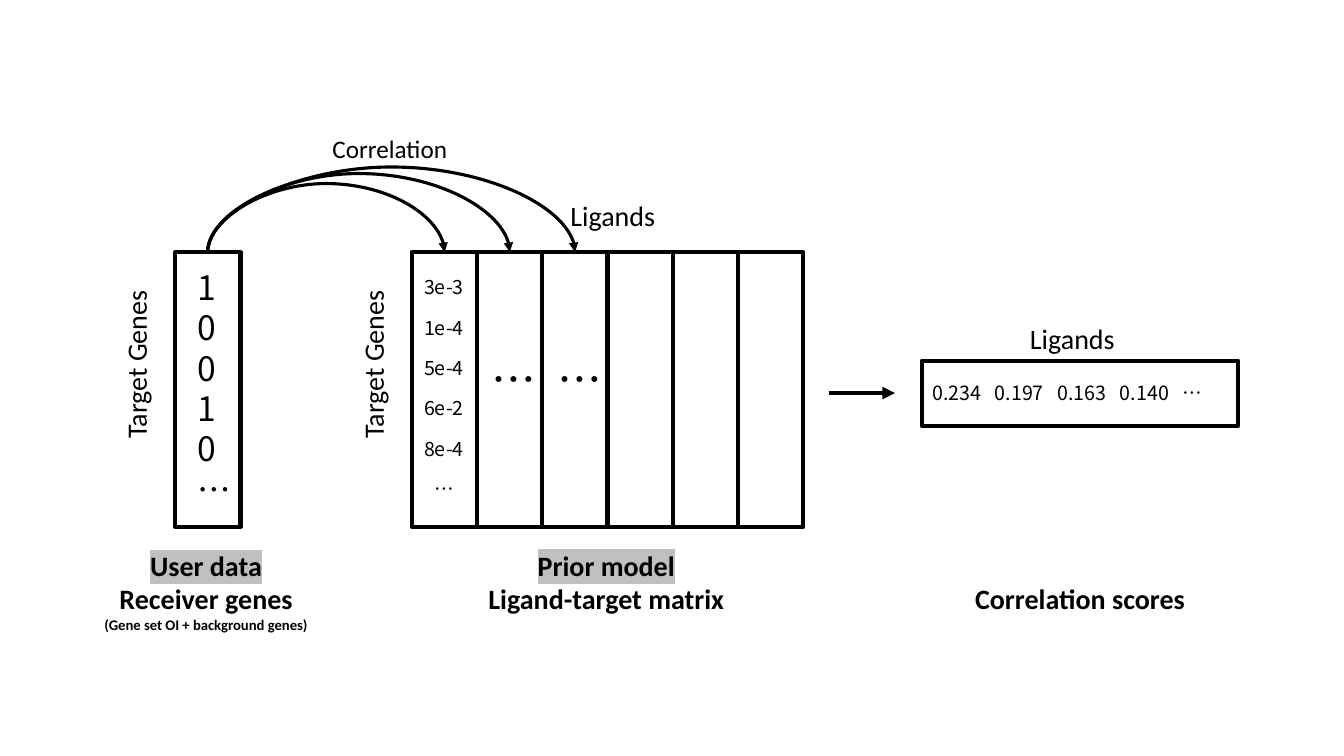
"""Draw the ligand activity slide: user data, prior model and correlation scores."""
import dataclasses
import typing

import lxml.etree
import pptx
import pptx.dml.color
import pptx.enum.shapes
import pptx.enum.text
import pptx.oxml.ns
import pptx.util

Pt = pptx.util.Pt
qn = pptx.oxml.ns.qn
BLACK = pptx.dml.color.RGBColor(0x00, 0x00, 0x00)
SILVER = pptx.dml.color.RGBColor(0xC0, 0xC0, 0xC0)
LABEL_FONT = "Calibri"
VALUE_FONT = "Noto Sans CJK KR"
CENTER = pptx.enum.text.PP_ALIGN.CENTER
LEFT = pptx.enum.text.PP_ALIGN.LEFT

CELL_WIDTH = 46.6
CELL_HEIGHT = 196
USER_LEFT = 125.2
CELL_TOP = 180.3
MATRIX_LEFT = 294.2
LIGAND_COUNT = 6
SCORE_STEP = 44.7
ARC_DROP = 0.25


@dataclasses.dataclass(frozen=True)
class Line:
    """One paragraph of a caption."""
    text: str
    size: float = 20
    highlighted: bool = False


@dataclasses.dataclass(frozen=True)
class Caption:
    """A bold caption below one part of the diagram."""
    left: float
    top: float
    width: float
    height: float
    lines: tuple[Line, ...]


@dataclasses.dataclass(frozen=True)
class Arc:
    """A curved arrow from the user data to one ligand column."""
    column: int
    rise: float


CAPTIONS = (
    Caption(61.9, 388, 170.6, 68, (
        Line("User data", highlighted=True),
        Line("Receiver genes"),
        Line("(Gene set OI + background genes)", 10.5))),
    Caption(331.2, 387.9, 203.8, 55.7, (
        Line("Prior model", highlighted=True),
        Line("Ligand-target matrix"))),
    Caption(686.2, 411.9, 170.6, 31.5, (Line("Correlation scores"),)),
)
ARCS = (Arc(0, 48.2), Arc(2, 59.8), Arc(1, 55.2))


def add_text(slide: typing.Any, lines: typing.Sequence[Line], left: float, top: float,
             width: float, height: float, *, font: str = LABEL_FONT, bold: bool = False,
             align: typing.Any = LEFT, space_before: float = 0, pitch: float | None = None,
             tab_step: float | None = None, sideways: bool = False) -> None:
    """Add a text box with one paragraph per line."""
    box = slide.shapes.add_textbox(Pt(left), Pt(top), Pt(width), Pt(height))
    frame = box.text_frame
    frame.word_wrap = True
    if sideways:
        box.rotation = 180
        frame._txBody.bodyPr.set("vert", "eaVert")
    for index, line in enumerate(lines):
        paragraph = frame.add_paragraph() if index else frame.paragraphs[0]
        paragraph.alignment = align
        paragraph.space_before = Pt(space_before)
        if pitch:
            paragraph.line_spacing = Pt(pitch)
        if tab_step:
            stops = lxml.etree.SubElement(paragraph._p.get_or_add_pPr(), qn("a:tabLst"))
            for stop in range(1, line.text.count("\t") + 1):
                lxml.etree.SubElement(stops, qn("a:tab"), pos=str(Pt(tab_step * stop)), algn="l")
        run = paragraph.add_run()
        run.text = line.text
        run.font.size = Pt(line.size)
        run.font.bold = bold
        run.font.color.rgb = BLACK
        run.font.name = font
        properties = run._r.get_or_add_rPr()
        properties.find(qn("a:latin")).addnext(
            lxml.etree.Element(qn("a:ea"), typeface=font))
        if line.highlighted:
            highlight = lxml.etree.Element(qn("a:highlight"))
            lxml.etree.SubElement(highlight, qn("a:srgbClr"), val=str(SILVER))
            properties.find(qn("a:solidFill")).addnext(highlight)


def add_cell(slide: typing.Any, left: float, top: float, width: float, height: float,
             rotation: float = 0) -> None:
    """Add an unfilled rectangle with a heavy outline."""
    cell = slide.shapes.add_shape(pptx.enum.shapes.MSO_SHAPE.RECTANGLE,
                                  Pt(left), Pt(top), Pt(width), Pt(height))
    cell.rotation = rotation
    cell.shadow.inherit = False
    cell.fill.background()
    cell.line.color.rgb = BLACK
    cell.line.width = Pt(3)


def add_arrow(slide: typing.Any, kind: typing.Any, start: tuple[float, float],
              end: tuple[float, float], weight: float) -> typing.Any:
    """Add a black connector with an arrowhead at its end."""
    arrow = slide.shapes.add_connector(kind, *map(Pt, start + end))
    arrow.line.color.rgb = BLACK
    arrow.line.width = Pt(weight)
    lxml.etree.SubElement(arrow.line._get_or_add_ln(), qn("a:tailEnd"), type="triangle")
    lxml.etree.SubElement(arrow._element.spPr, qn("a:effectLst"))
    return arrow


def add_arc(slide: typing.Any, arc: Arc) -> None:
    """Add a curved arrow that rises above both of its ends."""
    start = USER_LEFT + CELL_WIDTH / 2 - 0.2
    end = MATRIX_LEFT + CELL_WIDTH * (arc.column + 0.5)
    span = end - start
    arrow = add_arrow(slide, pptx.enum.shapes.MSO_CONNECTOR.CURVE,
                      (start, CELL_TOP), (end, CELL_TOP), 2.25)
    arrow.left = Pt((start + end - ARC_DROP) / 2)
    arrow.top = Pt(CELL_TOP - (span + ARC_DROP) / 2)
    arrow.width, arrow.height = Pt(ARC_DROP), Pt(span)
    frame = arrow._element.spPr.find(qn("a:xfrm"))
    for name, value in (("rot", "5400000"), ("flipH", "1"), ("flipV", "1")):
        frame.set(name, value)
    guides = arrow._element.spPr.find(qn("a:prstGeom")).find(qn("a:avLst"))
    lxml.etree.SubElement(guides, qn("a:gd"), name="adj1",
                          fmla=f"val {round(arc.rise / ARC_DROP * 100000)}")


def build_slide(slide: typing.Any) -> None:
    """Draw every part of the diagram."""
    add_text(slide, [Line(mark, 24) for mark in "10010…"], 133.9, 187.2, 28.8, 181.4,
             font=VALUE_FONT)
    add_cell(slide, USER_LEFT, CELL_TOP, CELL_WIDTH, CELL_HEIGHT)
    for column in range(LIGAND_COUNT):
        add_cell(slide, MATRIX_LEFT + column * CELL_WIDTH, CELL_TOP, CELL_WIDTH, CELL_HEIGHT)
    for left in (81.4, 250.6):
        add_text(slide, [Line("Target Genes")], left, 184.3, 38.9, 136.1, sideways=True)

    weights = ("3e-3", "1e-4", "5e-4", "6e-2", "8e-4", "…")
    add_text(slide, [Line(weight, 14) for weight in weights], 293.8, 193, CELL_WIDTH, 200.9,
             font=VALUE_FONT, align=CENTER, space_before=12)
    for column in (1, 2):
        add_text(slide, [Line("…", 32)], 297.6 + column * CELL_WIDTH, 247.7, CELL_WIDTH, 46.1,
                 font=VALUE_FONT, space_before=12)

    add_arrow(slide, pptx.enum.shapes.MSO_CONNECTOR.STRAIGHT, (592, 280.8), (639.3, 280.8), 3)
    add_cell(slide, 748.1, 167.8, CELL_WIDTH, 226.1, rotation=270)
    scores = ("0.234", "0.197", "0.163", "0.140", "…")
    add_text(slide, [Line("\t".join(scores), 14)], 658.8, 268.6, 266.4, 24.5,
             font=VALUE_FONT, tab_step=SCORE_STEP)

    for left, top in ((400.3, 138.2), (728.6, 226.1)):
        add_text(slide, [Line("Ligands")], left, top, 85.7, 31.7)
    for caption in CAPTIONS:
        add_text(slide, caption.lines, caption.left, caption.top, caption.width, caption.height,
                 bold=True, align=CENTER)
    for arc in ARCS:
        add_arc(slide, arc)
    add_text(slide, [Line("Correlation", 18)], 230.4, 91.4, 97.2, 28.8)


def main() -> None:
    """Build and save the presentation."""
    deck = pptx.Presentation()
    deck.slide_width, deck.slide_height = Pt(960), Pt(540)
    build_slide(deck.slides.add_slide(deck.slide_layouts[6]))
    deck.save("out.pptx")


if __name__ == "__main__":
    main()
